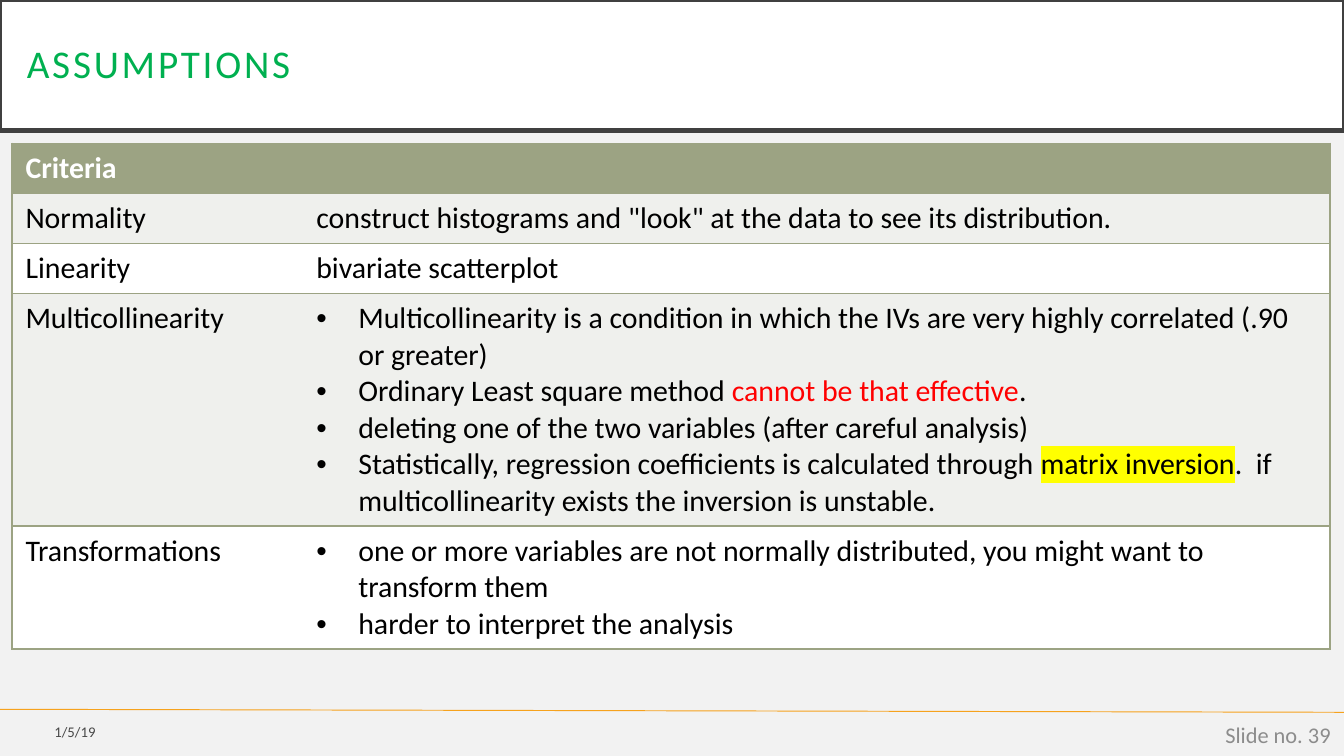
from lxml.etree import SubElement
from pptx import Presentation
from pptx.dml.color import RGBColor
from pptx.enum.shapes import MSO_CONNECTOR, MSO_SHAPE
from pptx.enum.text import MSO_ANCHOR, PP_ALIGN
from pptx.oxml.ns import qn
from pptx.util import Pt

BLACK = RGBColor(0x00, 0x00, 0x00)
WHITE = RGBColor(0xFF, 0xFF, 0xFF)
RED = RGBColor(0xFF, 0x00, 0x00)
YELLOW = RGBColor(0xFF, 0xFF, 0x00)
GREEN = RGBColor(0x00, 0xB0, 0x50)
SAGE = RGBColor(0x9C, 0xA3, 0x83)
PALE_SAGE = RGBColor(0xEF, 0xF0, 0xED)
BACKGROUND = RGBColor(0xF2, 0xF2, 0xF2)
DARK = RGBColor(0x40, 0x40, 0x40)
GRAY = RGBColor(0x8C, 0x8C, 0x8C)
ORANGE = RGBColor(0xF6, 0xA2, 0x1D)

FONT = "Calibri"
NO_STYLE = "{2D5ABB26-0587-4C30-8999-92F81FD0307C}"
WIDTH, HEIGHT = 720, 405

TITLE = "ASSUMPTIONS"
RED_TEXT = {"color": RED}
MARKED = {"highlight": YELLOW}
ROWS = [
    {"name": "Criteria", "lines": 1, "paragraphs": []},
    {"name": "Normality", "lines": 1, "paragraphs": [
        [('construct histograms and "look" at the data to see its distribution.', {})]]},
    {"name": "Linearity", "lines": 1, "paragraphs": [[("bivariate scatterplot", {})]]},
    {"name": "Multicollinearity", "lines": 6, "bullet": True, "paragraphs": [
        [("Multicollinearity is a condition in which the IVs are very highly "
          "correlated (.90 or greater)", {})],
        [("Ordinary Least square method ", {}), ("cannot be that effective", RED_TEXT), (".", {})],
        [("deleting one of the two variables (after careful analysis)", {})],
        [("Statistically, regression coefficients is calculated through ", {}),
         ("matrix inversion", MARKED),
         (".  if multicollinearity exists the inversion is unstable.", {})]]},
    {"name": "Transformations", "lines": 3, "bullet": True, "paragraphs": [
        [("one or more variables are not normally distributed, you might want to "
          "transform them", {})],
        [("harder to interpret the analysis", {})]]},
]
FOOTERS = [
    ("1/5/19", (0, 382.3, 58.3, 19.4), {"size": 7.9, "color": BLACK, "alpha": 70}),
    ("Slide no. 39", (558, 383, 162, 21.6), {"size": 12, "color": GRAY}),
]

TABLE_LEFT, TABLE_TOP = 6.5, 76.8
COLUMNS = [155.8, 550.2]
LINE_HEIGHT, CELL_PADDING = 19.5, 7.2
BULLET_INDENT = 22.5


def add_text(p, text, size=16, color=BLACK, bold=False, alpha=None, highlight=None, spacing=None):
    r = p.add_run()
    r.text = text
    r.font.size = Pt(size)
    r.font.bold = bold
    r.font.color.rgb = color
    rPr = r.font._element
    if alpha:
        SubElement(rPr.find(".//" + qn("a:srgbClr")), qn("a:alpha"), val=str(alpha * 1000))
    if highlight:
        SubElement(SubElement(rPr, qn("a:highlight")), qn("a:srgbClr"), val=str(highlight))
    if spacing:
        rPr.set("spc", str(int(spacing * 100)))
    r.font.name = FONT


def add_bullet(p):
    pPr = p._p.get_or_add_pPr()
    pPr.set("marL", str(Pt(BULLET_INDENT)))
    pPr.set("indent", str(-Pt(BULLET_INDENT)))
    SubElement(pPr, qn("a:buFont"), typeface="Arial")
    SubElement(pPr, qn("a:buChar"), char="•")


def format_cell(cell, fill, sides):
    tcPr = cell._tc.get_or_add_tcPr()
    for side in sides:
        ln = SubElement(tcPr, qn("a:ln" + side), w=str(Pt(1)))
        SubElement(SubElement(ln, qn("a:solidFill")), qn("a:srgbClr"), val=str(SAGE))
    cell.fill.solid()
    cell.fill.fore_color.rgb = fill


def add_title(s):
    sp = s.shapes.add_shape(MSO_SHAPE.RECTANGLE, 0, 0, Pt(WIDTH), Pt(70))
    sp.shadow.inherit = False
    sp.fill.solid()
    sp.fill.fore_color.rgb = WHITE
    sp.line.color.rgb = DARK
    sp.line.width = Pt(2.5)
    tf = sp.text_frame
    tf.word_wrap = True
    tf.vertical_anchor = MSO_ANCHOR.MIDDLE
    tf.margin_left = tf.margin_right = tf.margin_top = tf.margin_bottom = Pt(14.4)
    p = tf.paragraphs[0]
    p.alignment = PP_ALIGN.LEFT
    p.line_spacing = 0.9
    add_text(p, TITLE, size=21, color=GREEN, spacing=1.5)


def add_criteria_table(s):
    heights = [row["lines"] * LINE_HEIGHT + CELL_PADDING for row in ROWS]
    frame = s.shapes.add_table(len(ROWS), len(COLUMNS), Pt(TABLE_LEFT), Pt(TABLE_TOP),
                               Pt(sum(COLUMNS)), Pt(sum(heights)))
    table = frame.table
    table._tbl.tblPr.find(qn("a:tableStyleId")).text = NO_STYLE
    for column, width in zip(table.columns, COLUMNS):
        column.width = Pt(width)
    for i, row in enumerate(ROWS):
        table.rows[i].height = Pt(heights[i])
        fill = SAGE if i == 0 else PALE_SAGE if i % 2 else WHITE
        name, detail = table.cell(i, 0), table.cell(i, 1)
        format_cell(name, fill, "LTB")
        format_cell(detail, fill, "RTB")
        add_text(name.text_frame.paragraphs[0], row["name"],
                 color=BLACK if i else WHITE, bold=i == 0)
        tf = detail.text_frame
        if not row["paragraphs"]:
            SubElement(tf.paragraphs[0]._p, qn("a:endParaRPr"), sz="1600")
        for j, runs in enumerate(row["paragraphs"]):
            p = tf.add_paragraph() if j else tf.paragraphs[0]
            if row.get("bullet"):
                add_bullet(p)
            for text, style in runs:
                add_text(p, text, **style)


def add_footer(s):
    rule = s.shapes.add_connector(MSO_CONNECTOR.STRAIGHT, 0, Pt(380), Pt(WIDTH), Pt(381.6))
    rule.line.color.rgb = ORANGE
    rule.line.width = Pt(0.5)
    SubElement(rule._element.spPr, qn("a:effectLst"))
    for text, box, style in FOOTERS:
        tf = s.shapes.add_textbox(*map(Pt, box)).text_frame
        tf.word_wrap = True
        tf.vertical_anchor = MSO_ANCHOR.MIDDLE
        p = tf.paragraphs[0]
        p.alignment = PP_ALIGN.RIGHT
        add_text(p, text, **style)


def main():
    prs = Presentation()
    prs.slide_width, prs.slide_height = Pt(WIDTH), Pt(HEIGHT)
    s = prs.slides.add_slide(prs.slide_layouts[6])
    s.background.fill.solid()
    s.background.fill.fore_color.rgb = BACKGROUND
    add_title(s)
    add_criteria_table(s)
    add_footer(s)
    prs.save("out.pptx")


if __name__ == "__main__":
    main()
